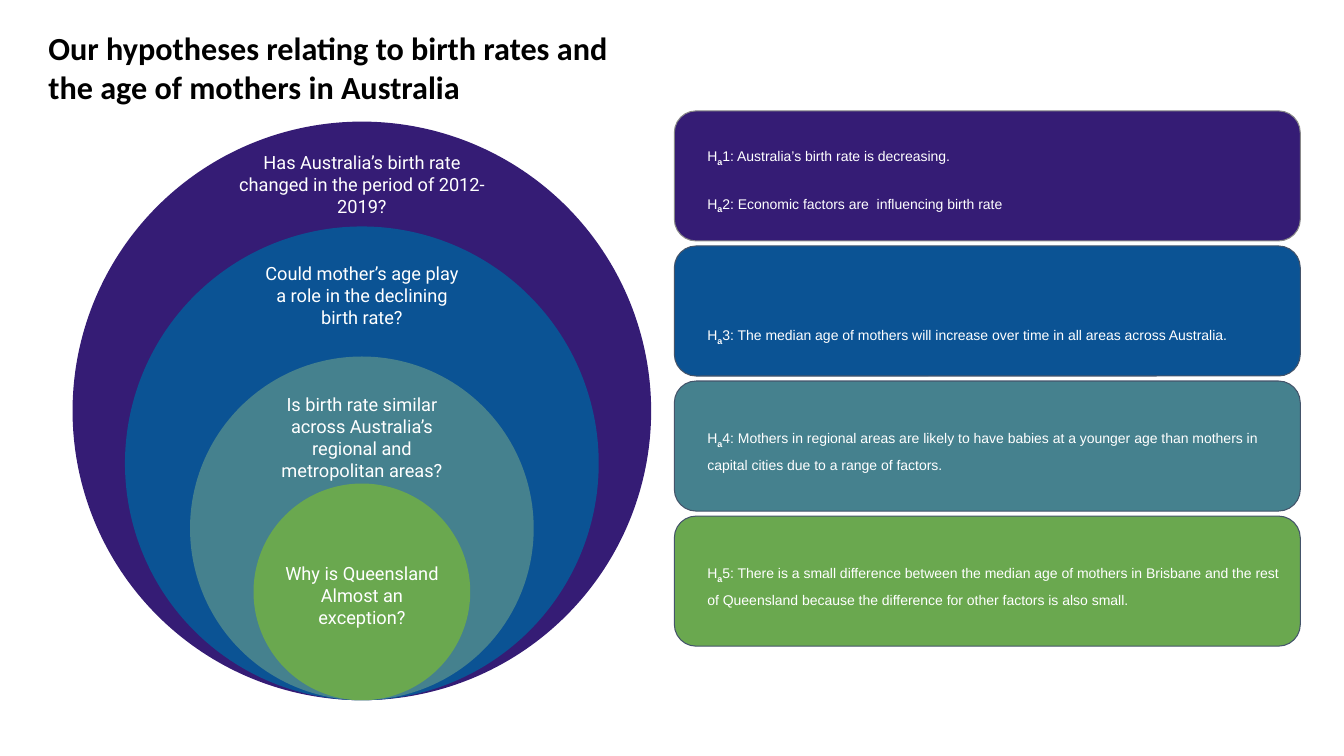
from pptx import Presentation
from pptx import util as u
from pptx.dml.color import RGBColor
from pptx.enum import shapes, text

COLORS = {
    "purple": "351C75",
    "blue": "0B5394",
    "teal": "45818E",
    "green": "6AA84F",
    "white": "FFFFFF",
    "black": "000000",
    "grey": "888888",
    "slate": "44546A",
}
COLUMNS, ROWS = 80, 45
CELL = u.Inches(1) / 6
CENTRE, BASELINE = 21.54, 41.68
CARD_LEFT, CARD_TOP, CARD_WIDTH, CARD_HEIGHT = 40.14, 6.6, 37.26, 7.74
CARD_STEP = 8.04

TITLE = "Our hypotheses relating to birth rates and the age of mothers in Australia"
QUESTIONS = [
    ("purple", 34.44, (7.98, 16.86, 6),
     ["Has Australia’s birth rate changed in the period of 2012-2019?"]),
    ("blue", 28.2, (15.12, 13.8, 4.92),
     ["Could mother’s age play a role in the declining birth rate?"]),
    ("teal", 20.46, (23.7, 12.9, 4.68),
     ["Is birth rate similar across Australia’s regional and metropolitan areas?"]),
    ("green", 12.9, (32.58, 10.74, 5.7),
     ["Why is Queensland", "Almost an exception?"]),
]
HYPOTHESES = [
    ("purple", "grey", 0.6,
     ["1: Australia’s birth rate is decreasing.",
      "2: Economic factors are  influencing birth rate"]),
    ("blue", "slate", 3,
     ["3: The median age of mothers will increase over time in all areas "
      "across Australia."]),
    ("teal", "slate", 0.6,
     ["4: Mothers in regional areas are likely to have babies at a younger age "
      "than mothers in capital cities due to a range of factors."]),
    ("green", "slate", 0.6,
     ["5: There is a small difference between the median age of mothers in "
      "Brisbane and the rest of Queensland because the difference for other "
      "factors is also small."]),
]


def cells(n):
    return u.Emu(round(n * CELL))


def color(name):
    return RGBColor.from_string(COLORS[name])


class Deck:
    def __init__(self):
        self.prs = Presentation()
        self.prs.slide_width = cells(COLUMNS)
        self.prs.slide_height = cells(ROWS)
        self.s = self.prs.slides.add_slide(self.prs.slide_layouts[5])

    def frame(self, sp, inset, anchor=text.MSO_ANCHOR.MIDDLE):
        tf = sp.text_frame
        tf.word_wrap = True
        tf.auto_size = text.MSO_AUTO_SIZE.NONE
        tf.vertical_anchor = anchor
        tf.margin_left = tf.margin_right = cells(inset)
        tf.margin_top = tf.margin_bottom = cells(inset)
        return tf

    def paragraph(self, tf, i, align):
        p = tf.paragraphs[0] if i == 0 else tf.add_paragraph()
        p.alignment = align
        return p

    def run(self, p, words, font, size, ink="white", bold=False):
        r = p.add_run()
        r.text = words
        r.font.name = font
        r.font.size = u.Pt(size)
        r.font.bold = bold
        r.font.color.rgb = color(ink)
        return r

    def shape(self, kind, box, fill):
        sp = self.s.shapes.add_shape(kind, *map(cells, box))
        sp.shadow.inherit = False
        sp.fill.solid()
        sp.fill.fore_color.rgb = color(fill)
        sp.line.fill.background()
        return sp

    def title(self, box, words):
        sp = self.s.shapes.title
        sp.left, sp.top, sp.width, sp.height = map(cells, box)
        tf = self.frame(sp, 0.6, text.MSO_ANCHOR.TOP)
        p = self.paragraph(tf, 0, text.PP_ALIGN.LEFT)
        self.run(p, words, "Calibri", 23, "black", True)

    def circle(self, diameter, fill):
        box = (CENTRE - diameter / 2, BASELINE - diameter, diameter, diameter)
        self.shape(shapes.MSO_SHAPE.OVAL, box, fill)

    def question(self, top, width, height, lines):
        box = (CENTRE - width / 2, top, width, height)
        sp = self.s.shapes.add_textbox(*map(cells, box))
        tf = self.frame(sp, 0.78)
        for i, line in enumerate(lines):
            p = self.paragraph(tf, i, text.PP_ALIGN.CENTER)
            self.run(p, line, "Roboto", 13)

    def card(self, row, fill, outline, top_inset, lines):
        box = (CARD_LEFT, CARD_TOP + row * CARD_STEP, CARD_WIDTH, CARD_HEIGHT)
        sp = self.shape(shapes.MSO_SHAPE.ROUNDED_RECTANGLE, box, fill)
        sp.line.color.rgb = color(outline)
        sp.line.width = u.Pt(0.75)
        tf = self.frame(sp, 0.6)
        tf.margin_top = cells(top_inset)
        for i, line in enumerate(lines):
            p = self.paragraph(tf, i, text.PP_ALIGN.LEFT)
            p.line_spacing = 1.45
            p.space_before = u.Pt(12 if i else 0)
            p.space_after = u.Pt(12 if line == lines[-1] else 0)
            p._p.get_or_add_pPr().set("marL", str(cells(1)))
            self.run(p, "H", "Arial", 10)
            r = self.run(p, "a", "Arial", 11, bold=True)
            r._r.get_or_add_rPr().set("baseline", "-25000")
            self.run(p, line, "Arial", 10)


def main():
    deck = Deck()
    deck.title((2.28, 1.08, 37.26, 5.88), TITLE)
    for fill, diameter, label, lines in QUESTIONS:
        deck.circle(diameter, fill)
        deck.question(*label, lines)
    for row, hypothesis in enumerate(HYPOTHESES):
        deck.card(row, *hypothesis)
    deck.prs.save("out.pptx")


if __name__ == "__main__":
    main()
